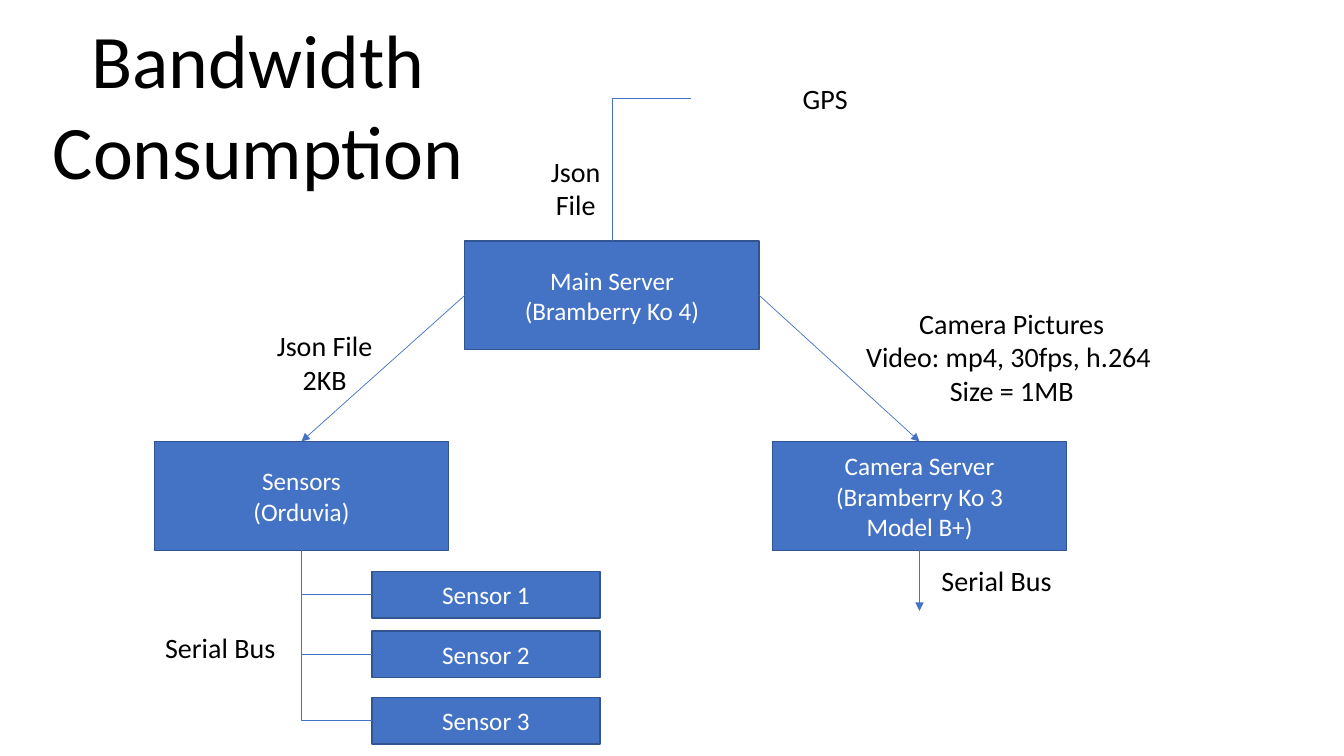
from lxml.etree import SubElement
from pptx import Presentation
from pptx.dml.color import RGBColor
from pptx.enum.shapes import MSO_CONNECTOR as Connector, MSO_SHAPE as Shape
from pptx.enum.text import MSO_ANCHOR as Anchor, MSO_AUTO_SIZE as AutoSize, PP_ALIGN as Align
from pptx.oxml.ns import qn
from pptx.util import Inches, Pt

COLORS = {"box": "4472C4", "border": "325491", "box_text": "FFFFFF", "label": "000000"}
TOP, LEFT, BOTTOM, RIGHT = range(4)


class Diagram:
    font = "Calibri"

    def __init__(self, slide):
        self.slide = slide

    def color(self, name):
        return RGBColor.from_string(COLORS[name])

    def add_lines(self, frame, lines, size, color):
        for index, line in enumerate(lines):
            paragraph = frame.add_paragraph() if index else frame.paragraphs[0]
            paragraph.alignment = Align.CENTER
            run = paragraph.add_run()
            run.text = line
            run.font.name = self.font
            run.font.size = Pt(size)
            run.font.color.rgb = self.color(color)

    def box(self, left, top, width, height, *lines):
        shape = self.slide.shapes.add_shape(
            Shape.RECTANGLE, Inches(left), Inches(top), Inches(width), Inches(height))
        shape.shadow.inherit = False
        shape.fill.solid()
        shape.fill.fore_color.rgb = self.color("box")
        shape.line.color.rgb = self.color("border")
        shape.line.width = Pt(1)
        shape.text_frame.word_wrap = True
        shape.text_frame.vertical_anchor = Anchor.MIDDLE
        self.add_lines(shape.text_frame, lines, 18, "box_text")
        return shape

    def label(self, left, top, width, height, *lines, size=20):
        shape = self.slide.shapes.add_textbox(
            Inches(left), Inches(top), Inches(width), Inches(height))
        shape.text_frame.word_wrap = False
        shape.text_frame.auto_size = AutoSize.SHAPE_TO_FIT_TEXT
        self.add_lines(shape.text_frame, lines, size, "label")

    def connector(self, kind, start, end):
        connector = self.slide.shapes.add_connector(
            kind, *(Inches(value) for value in (*start, *end)))
        connector.line.color.rgb = self.color("box")
        connector.line.width = Pt(0.5)
        SubElement(connector.element.spPr, qn("a:effectLst"))
        return connector

    def arrow(self, start, end, source, side, target=None):
        connector = self.connector(Connector.STRAIGHT, start, end)
        line = connector.element.spPr.find(qn("a:ln"))
        SubElement(line, qn("a:tailEnd"), type="triangle")
        connector.begin_connect(source, side)
        if target is not None:
            connector.end_connect(target, TOP)

    def corner(self, start, end):
        connector = self.connector(Connector.ELBOW, start, end)
        connector.element.spPr.find(qn("a:prstGeom")).set("prst", "bentConnector2")


def main():
    presentation = Presentation()
    presentation.slide_width = Inches(13.33)
    presentation.slide_height = Inches(7.5)
    diagram = Diagram(presentation.slides.add_slide(presentation.slide_layouts[6]))

    box_size = (2.92, 1.08)
    main_server = diagram.box(4.61, 2.39, *box_size, "Main Server", "(Bramberry Ko 4)")
    camera_server = diagram.box(
        7.66, 4.38, *box_size, "Camera Server", "(Bramberry Ko 3", "Model B+)")
    sensors = diagram.box(1.53, 4.38, *box_size, "Sensors", "(Orduvia)")

    diagram.arrow((9.12, 5.46), (9.12, 6.06), camera_server, BOTTOM)
    diagram.arrow((7.53, 2.93), (9.12, 4.38), main_server, RIGHT, camera_server)
    diagram.arrow((4.61, 2.93), (2.99, 4.38), main_server, LEFT, sensors)

    sensor_height = 0.46
    for number, top in enumerate((5.67, 6.26, 6.92), start=1):
        diagram.box(3.69, top, 2.26, sensor_height, f"Sensor {number}")
        diagram.corner((3.69, top + sensor_height / 2), (2.99, 5.46))
    diagram.corner((6.85, 0.98), (6.07, 2.39))

    diagram.label(9.23, 5.54, 1.31, 0.44, "Serial Bus")
    diagram.label(8.48, 2.99, 3.11, 1.11,
                  "Camera Pictures", "Video: mp4, 30fps, h.264 ", "Size = 1MB")
    diagram.label(7.86, 0.76, 0.65, 0.44, "GPS")
    diagram.label(2.64, 3.21, 1.16, 0.77, "Json File", "2KB")
    diagram.label(1.53, 6.21, 1.31, 0.44, "Serial Bus")
    diagram.label(5.36, 1.48, 0.7, 0.77, "Json", "File")
    diagram.label(0.4, 0.08, 4.32, 1.92, "Bandwidth", "Consumption", size=54)

    presentation.save("out.pptx")


if __name__ == "__main__":
    main()
